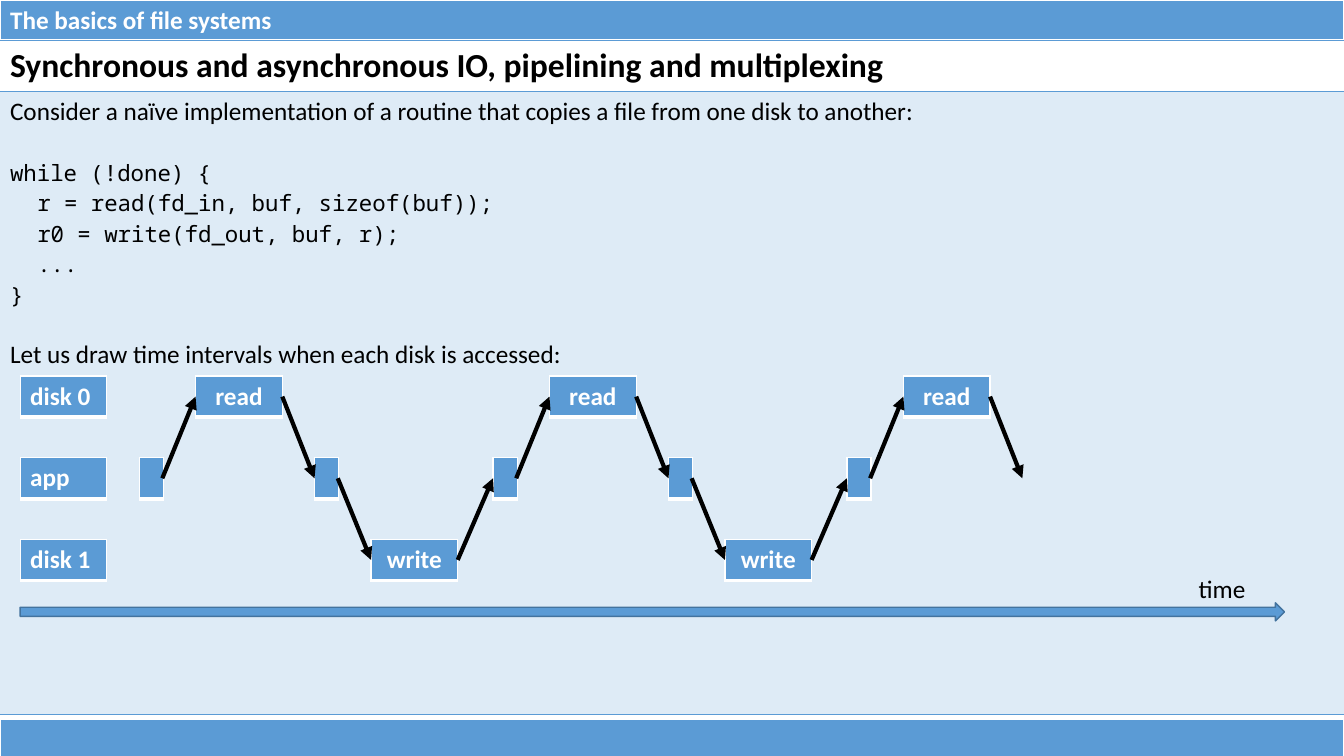
from dataclasses import dataclass
from itertools import pairwise

from lxml import etree
from pptx import Presentation
from pptx.dml.color import RGBColor
from pptx.enum.shapes import MSO_CONNECTOR, MSO_SHAPE
from pptx.enum.text import PP_ALIGN
from pptx.oxml import parse_xml
from pptx.oxml.ns import nsdecls, qn
from pptx.util import Inches, Pt

LEFT, CENTER = PP_ALIGN.LEFT, PP_ALIGN.CENTER
STRAIGHT = MSO_CONNECTOR.STRAIGHT
ARROW = MSO_SHAPE.RIGHT_ARROW

COLORS = {"blue": "5B9BD5", "edge": "43739E", "white": "FFFFFF", "black": "000000"}
SANS, MONO = "Calibri", "Noto Sans Mono"
WIDTH = 13.33

# Time diagram: three lanes, and a cycle of steps that repeats
LANE_TOP, LANE_GAP, BOX_H = 3.73, 0.81, 0.41
BOX_W, SLOT_W = 0.86, 0.23
START, PERIOD, STEPS = 1.38, 3.51, 10


@dataclass(frozen=True)
class Edge:
    side: str
    color: str = "white"
    width: float = 1


@dataclass(frozen=True)
class Line:
    text: str
    size: float = 18
    font: str = SANS
    bold: bool = False
    color: str = "black"
    align: PP_ALIGN = LEFT
    indent: float = 0
    before: float = 0


@dataclass(frozen=True)
class Step:
    left: float
    lane: int
    label: str = ""

    @property
    def width(self) -> float:
        return BOX_W if self.label else SLOT_W


FRAME = [Edge("L"), Edge("R"), Edge("T"), Edge("B", width=3)]
RULES = [Edge("L", ""), Edge("R", ""), Edge("T", "blue"), Edge("B", "blue")]
CYCLE = [Step(0, 1), Step(0.56, 0, "read"), Step(1.74, 1), Step(2.3, 2, "write")]
LANES = ["disk 0", "app", "disk 1"]

TITLE = Line("Synchronous and asynchronous IO, pipelining and multiplexing", 24, bold=True)
CODE = [
    ("while (!done) {", 0, 21.5),
    ("r = read(fd_in, buf, sizeof(buf));", 0.27, 0),
    ("r0 = write(fd_out, buf, r);", 0.27, 0),
    ("...", 0.27, 0),
    ("}", 0, 0),
]
BODY = [
    Line("Consider a naïve implementation of a routine that copies a file from one disk to another:"),
    *(Line(text, 16, MONO, indent=indent, before=gap) for text, indent, gap in CODE),
    Line("Let us draw time intervals when each disk is accessed:", before=21.5),
]


def rgb(name: str) -> RGBColor:
    return RGBColor.from_string(COLORS[name])


def write(frame, lines: list[Line]) -> None:
    for index, line in enumerate(lines):
        para = frame.add_paragraph() if index else frame.paragraphs[0]
        para.text = line.text
        para.alignment = line.align
        para.space_before = Pt(line.before)
        if line.indent:
            props = para._p.get_or_add_pPr()
            props.set("marL", str(Inches(line.indent)))
            props.set("indent", "0")
        for run in para.runs:
            run.font.name = line.font
            run.font.size = Pt(line.size)
            run.font.bold = line.bold
            run.font.color.rgb = rgb(line.color)


def style(cell, edges: list[Edge], fill: str = "", alpha: int = 100) -> None:
    """Set the borders and fill of a cell; alpha is in percent."""
    props = cell._tc.get_or_add_tcPr()
    for edge in edges:
        paint = "<a:noFill/>"
        if edge.color:
            paint = f'<a:solidFill><a:srgbClr val="{COLORS[edge.color]}"/></a:solidFill>'
        props.append(parse_xml(
            f'<a:ln{edge.side} {nsdecls("a")} w="{Pt(edge.width)}">{paint}</a:ln{edge.side}>'))
    if not fill:
        cell.fill.background()
        return
    cell.fill.solid()
    cell.fill.fore_color.rgb = rgb(fill)
    if alpha < 100:
        tone = props.find(qn("a:solidFill")).find(qn("a:srgbClr"))
        etree.SubElement(tone, qn("a:alpha")).set("val", str(alpha * 1000))


def add_grid(shapes, left: float, top: float, width: float, rows: list[float]):
    table = shapes.add_table(len(rows), 1, Inches(left), Inches(top),
                             Inches(width), Inches(sum(rows))).table
    table.first_row = table.horz_banding = False
    for row, height in zip(table.rows, rows):
        row.height = Inches(height)
    return table


def add_box(shapes, left: float, top: float, width: float, height: float,
            text: str = "", align: PP_ALIGN = LEFT) -> None:
    cell = add_grid(shapes, left, top, width, [height]).cell(0, 0)
    style(cell, FRAME, "blue")
    if text:
        write(cell.text_frame, [Line(text, bold=True, color="white", align=align)])


def lane_top(lane: int) -> float:
    return LANE_TOP + lane * LANE_GAP


def add_arrow(shapes, source: Step, target: Step) -> None:
    """Link the right side of one step to the left side of the next."""
    start, end = (lane_top(step.lane) + BOX_H / 2 for step in (source, target))
    link = shapes.add_connector(STRAIGHT, Inches(source.left + source.width), Inches(start),
                                Inches(target.left), Inches(end))
    link.line.color.rgb = rgb("black")
    link.line.width = Pt(3)
    etree.SubElement(link.line._get_or_add_ln(), qn("a:tailEnd")).set("type", "triangle")
    etree.SubElement(link._element.spPr, qn("a:effectLst"))


def add_body(shapes) -> None:
    table = add_grid(shapes, 0, 0.4, WIDTH, [0.51, 6.18])
    head, main_cell = table.cell(0, 0), table.cell(1, 0)
    style(head, RULES)
    style(main_cell, RULES, "blue", alpha=20)
    write(head.text_frame, [TITLE])
    write(main_cell.text_frame, BODY)


def add_steps(shapes) -> None:
    """Draw the steps, and an arrow out of each towards the next."""
    steps = []
    for index in range(STEPS + 1):
        turn, phase = divmod(index, len(CYCLE))
        base = CYCLE[phase]
        steps.append(Step(START + turn * PERIOD + base.left, base.lane, base.label))
    for step in steps[:STEPS]:
        add_box(shapes, step.left, lane_top(step.lane), step.width, BOX_H, step.label, CENTER)
    for source, target in pairwise(steps):
        add_arrow(shapes, source, target)


def add_axis(shapes) -> None:
    axis = shapes.add_shape(ARROW, Inches(0.2), Inches(5.98), Inches(12.54), Inches(0.18))
    axis.shadow.inherit = False
    axis.fill.solid()
    axis.fill.fore_color.rgb = rgb("blue")
    axis.line.color.rgb = rgb("edge")
    axis.line.width = Pt(1)
    label = shapes.add_textbox(Inches(11.79), Inches(5.64), Inches(0.67), Inches(0.4))
    label.text_frame.word_wrap = False
    write(label.text_frame, [Line("time")])


def main() -> None:
    deck = Presentation()
    deck.slide_width, deck.slide_height = Inches(WIDTH), Inches(7.5)
    shapes = deck.slides.add_slide(deck.slide_layouts[6]).shapes
    add_box(shapes, 0, 0, WIDTH, 0.4, "The basics of file systems")
    add_box(shapes, 0, 7.14, WIDTH, 0.4)
    add_body(shapes)
    for lane, name in enumerate(LANES):
        add_box(shapes, 0.2, lane_top(lane), BOX_W, BOX_H, name)
    add_steps(shapes)
    add_axis(shapes)
    deck.save("out.pptx")


if __name__ == "__main__":
    main()
